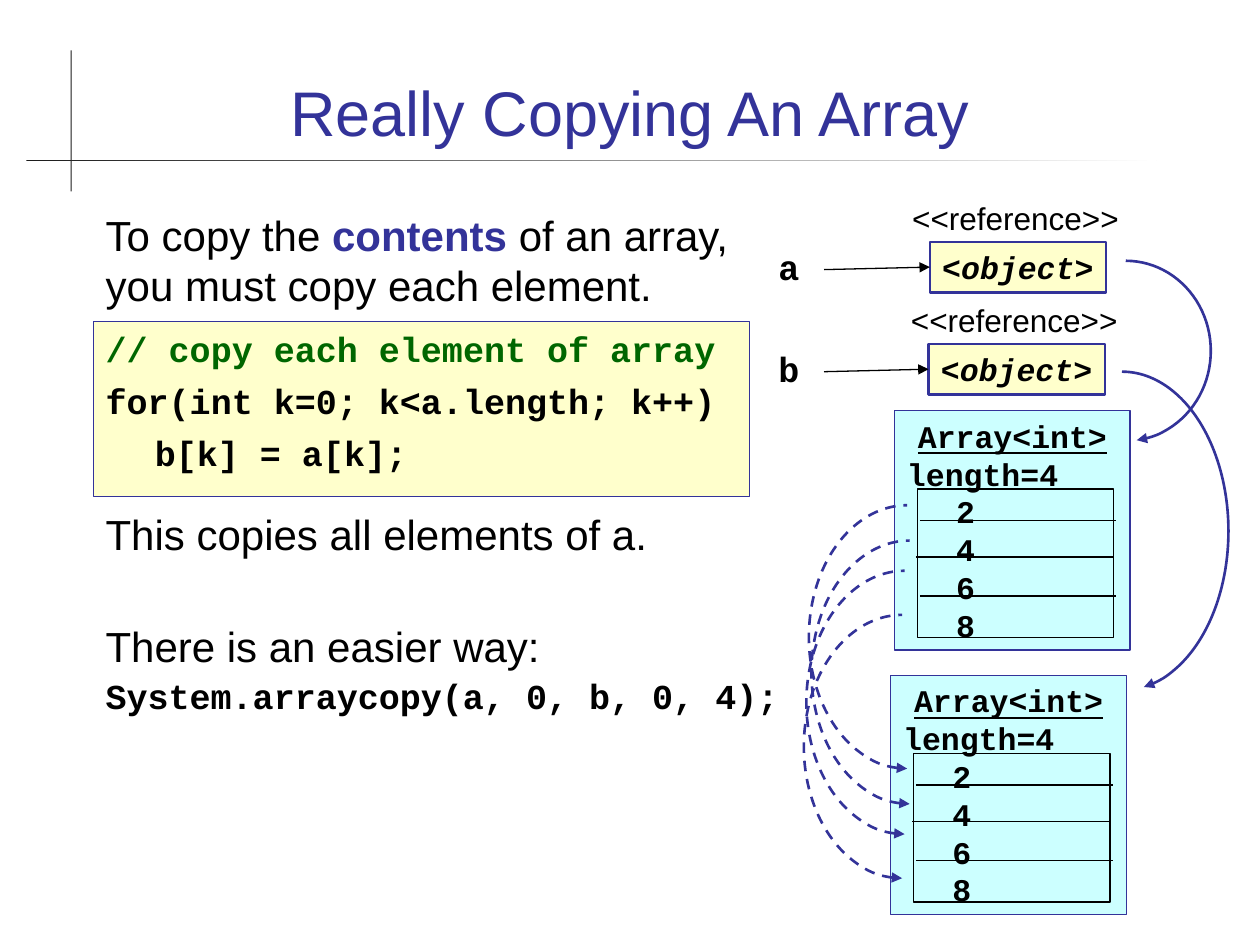
from lxml import etree
from pptx import Presentation, util as u
from pptx.dml.color import RGBColor
from pptx.enum import dml, shapes, text
from pptx.oxml.ns import qn

BLUE, BLACK, GRAY, GREEN = "333399", "000000", "1C1C1C", "006600"
CREAM, AQUA, WHITE = "FFFFCC", "CCFFFF", "FFFFFF"
ARIAL = dict(name="Arial", size=24, color=BLACK)
SMALL = dict(ARIAL, size=18)
CODE = dict(name="Courier New", size=20, color=BLACK, bold=True)
CELL = dict(CODE, size=18)
TAB = 0.39

# Content: a paragraph is (space before in points, alignment, runs)
TITLE = [(0, "CENTER", [("Really Copying An Array", dict(ARIAL, size=36, color=BLUE))])]
INTRO = [(0, "LEFT", [("To copy the ", ARIAL), ("contents", dict(ARIAL, color=BLUE, bold=True)),
                      (" of an array, \nyou must copy each element.", ARIAL)])]
LOOP = [(0, "LEFT", [("// copy each element of array", dict(CODE, color=GREEN))]),
        (5.8, "LEFT", [("for(int k=0; k<a.length; k++)", CODE)]),
        (5.8, "LEFT", [("\tb[k] = a[k];", CODE)])]
OUTRO = [(0, "LEFT", [("This copies all elements of a.", ARIAL)]),
         (34.8, "LEFT", [("There is an easier way:", ARIAL)]),
         (2.5, "LEFT", [("System.arraycopy(a, 0, b, 0, 4);", CODE)])]
REFERENCE = [(0, "CENTER", [("<<reference>>", SMALL)])]
OBJECT = [(0, "LEFT", [("<", CELL), ("object", dict(CELL, italic=True)), (">", CELL)])]
ARRAY = [(0, "CENTER", [("Array<int>", dict(CELL, underline=True))])]
ARRAY += [(0, "LEFT", [(line, CELL)]) for line in ("length=4", "\t2", "\t4", "\t6", "\t8")]

VARIABLES = [("a", 1.9, 7.38), ("b", 2.71, 7.37)]      # name, top, left of object box
ARRAYS = [(7.1, 3.26), (7.07, 5.36)]                   # left, top
DIVIDERS = [(0.2, 0.87), (0.17, 1.16), (0.2, 1.47)]    # offsets within an array
COPY_ARCS = [(6.42, 4.01), (6.44, 4.29), (6.4, 4.53), (6.38, 4.88)]
POINTER_ARCS = [((8.26, 2.07, 1.35, 1.43), 83), ((8.06, 2.95, 1.69, 2.53), 82)]

prs = Presentation()
prs.slide_width, prs.slide_height = u.Inches(10), u.Inches(7.5)
s = prs.slides.add_slide(prs.slide_layouts[6])


def rgb(color):
    return RGBColor.from_string(color)


def inches(values):
    return [u.Inches(v) for v in values]


def write(sp, paragraphs, wrap=True, anchor="TOP"):
    tf = sp.text_frame
    tf.word_wrap = wrap
    tf.vertical_anchor = getattr(text.MSO_ANCHOR, anchor)
    for i, (before, align, runs) in enumerate(paragraphs):
        p = tf.paragraphs[0] if i == 0 else tf.add_paragraph()
        p.alignment = getattr(text.PP_ALIGN, align)
        p.space_before = u.Pt(before)
        p.line_spacing = u.Pt(1.2 * max(fmt["size"] for _, fmt in runs))
        if runs[0][0].startswith("\t"):
            tabs = etree.SubElement(p._p.get_or_add_pPr(), qn("a:tabLst"))
            etree.SubElement(tabs, qn("a:tab"), pos=str(u.Inches(TAB)), algn="l")
        for words, fmt in runs:
            for n, part in enumerate(words.split("\n")):
                if n:
                    p.add_line_break()
                r = p.add_run()
                r.text = part
                for key, value in fmt.items():
                    if key == "color":
                        r.font.color.rgb = rgb(value)
                    else:
                        setattr(r.font, key, u.Pt(value) if key == "size" else value)


def label(at, paragraphs, **options):
    write(s.shapes.add_textbox(*inches(at)), paragraphs, **options)


def shape(at, fill=None, line=None, width=0.75, kind="RECTANGLE"):
    sp = s.shapes.add_shape(getattr(shapes.MSO_SHAPE, kind), *inches(at))
    sp.shadow.inherit = False
    if fill:
        sp.fill.solid()
        sp.fill.fore_color.rgb = rgb(fill)
    else:
        sp.fill.background()
    if line:
        sp.line.color.rgb = rgb(line)
        sp.line.width = u.Pt(width)
    else:
        sp.line.fill.background()
    return sp


def arrowhead(sp, end):
    etree.SubElement(sp.line._get_or_add_ln(), qn("a:" + end), type="triangle")


def connector(x1, y1, x2, y2):
    c = s.shapes.add_connector(shapes.MSO_CONNECTOR.STRAIGHT, *inches((x1, y1, x2, y2)))
    c.line.color.rgb = rgb(BLACK)
    c.line.width = u.Pt(0.75)
    etree.SubElement(c._element.spPr, qn("a:effectLst"))
    return c


def arc(at, start, stop, arrow_end, dashed=False):
    sp = shape(at, line=BLUE, width=1.5, kind="ARC")
    for i, degrees in enumerate((start, stop)):
        sp.adjustments[i] = degrees * 0.6    # 60000 units a degree, scaled by 100000
    if dashed:
        sp.line.dash_style = dml.MSO_LINE.DASH
    arrowhead(sp, arrow_end)


# Title and crossed rules
shape((0.56, 0.4, 0.01, 1.12), GRAY)
rule = shape((0.21, 1.27, 8.97, 0.01))
rule.fill.gradient()
rule.fill.gradient_angle = 0
for stop, color in zip(rule.fill.gradient_stops, (GRAY, WHITE)):
    stop.color.rgb = rgb(color)
label((0.67, 0.28, 8.66, 0.95), TITLE, anchor="BOTTOM")

# Explanation and code
write(shape((0.74, 2.55, 5.21, 1.39), CREAM, BLUE), LOOP)
label((0.74, 1.61, 8.39, 0.9), INTRO)
label((0.74, 3.99, 5.66, 1.75), OUTRO)

# Variables with their references
for name, top, left in VARIABLES:
    label((6.08, top, 0.36, 0.44), [(0, "LEFT", [(name, CODE)])], wrap=False)
    label((left - 0.45, top - 0.37, 2.26, 0.4), REFERENCE)
    box = shape((left, top + 0.02, 1.4, 0.4), CREAM, BLUE, 1.5)
    write(box, OBJECT, wrap=False)
    c = connector(6.54, top + 0.24, left, top + 0.22)
    c.end_connect(box, 1)
    arrowhead(c, "tailEnd")

# Arrays with their cells
for left, top in ARRAYS:
    write(shape((left, top, 1.87, 1.9), AQUA, BLUE), ARRAY)
    shape((left + 0.18, top + 0.62, 1.56, 1.18), line=BLACK)
    for dx, dy in DIVIDERS:
        connector(left + dx, top + dy, left + dx + 1.56, top + dy)

# Arcs for copied elements and for pointers
for left, top in COPY_ARCS:
    arc((left, top, 1.56, 2.09), 90, 270, "headEnd", dashed=True)
for at, stop in POINTER_ARCS:
    arc(at, 270, stop, "tailEnd")

prs.save("out.pptx")
